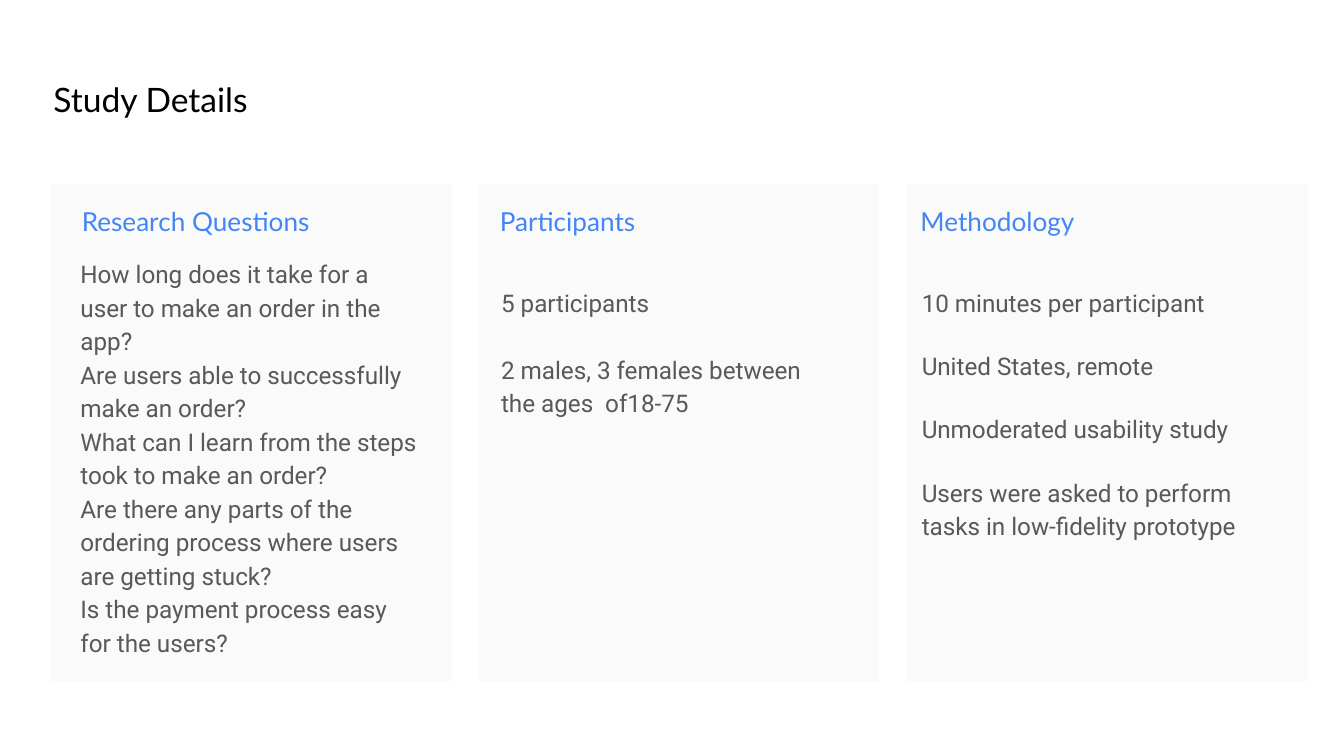
from dataclasses import dataclass

from pptx import Presentation
from pptx.dml.color import RGBColor
from pptx.enum.shapes import MSO_SHAPE
from pptx.enum.text import MSO_ANCHOR
from pptx.util import Inches, Pt

RECTANGLE = MSO_SHAPE.RECTANGLE
TOP = MSO_ANCHOR.TOP


@dataclass(frozen=True)
class Theme:
    card: RGBColor = RGBColor(0xFA, 0xFA, 0xFA)
    title: RGBColor = RGBColor(0x00, 0x00, 0x00)
    heading: RGBColor = RGBColor(0x42, 0x85, 0xF4)
    body: RGBColor = RGBColor(0x59, 0x59, 0x59)
    heading_font: str = "Lato"
    body_font: str = "Roboto"
    title_size: int = 18
    heading_size: int = 14
    body_size: int = 13


@dataclass(frozen=True)
class Column:
    heading: str
    paragraphs: tuple
    card_left: float
    heading_left: float
    body_left: float
    body_top: float = 2.01
    body_height: float = 2.42
    gap: int = 0  # points between paragraphs


THEME = Theme()

# Slide and card sizes, in inches
SLIDE_WIDTH = 10
SLIDE_HEIGHT = SLIDE_WIDTH * 9 / 16
CARD_TOP, CARD_WIDTH, CARD_HEIGHT = 1.37, 2.98, 3.7
TEXT_WIDTH = 2.71

COLUMNS = (
    Column(
        "Research Questions",
        (
            "How long does it take for a user to make an order in the app?",
            "Are users able to successfully make an order?",
            "What can I learn from the steps took to make an order?",
            "Are there any parts of the ordering process where users are getting stuck?",
            "Is the payment process easy for the users?",
        ),
        card_left=0.38, heading_left=0.51, body_left=0.5, body_top=1.8, body_height=3.09,
    ),
    Column(
        "Participants",
        ("5 participants", "2 males, 3 females between the ages  of18-75"),
        card_left=3.56, heading_left=3.62, body_left=3.63, gap=18,
    ),
    Column(
        "Methodology",
        (
            "10 minutes per participant",
            "United States, remote",
            "Unmoderated usability study",
            "Users were asked to perform tasks in low-fidelity prototype",
        ),
        card_left=6.75, heading_left=6.75, body_left=6.76, gap=16,
    ),
)


def add_text(slide, paragraphs, left, top, width, height, *,
             font, size, color, line_spacing=1.0, gap=0):
    """Add a text box with one paragraph for each string."""
    frame = slide.shapes.add_textbox(
        Inches(left), Inches(top), Inches(width), Inches(height)).text_frame
    frame.word_wrap = True
    frame.vertical_anchor = TOP
    frame.margin_left = frame.margin_right = Inches(0.1)
    frame.margin_top = frame.margin_bottom = Inches(0.1)
    for index, text in enumerate(paragraphs):
        paragraph = frame.add_paragraph() if index else frame.paragraphs[0]
        paragraph.line_spacing = line_spacing
        paragraph.space_before = Pt(gap if index else 0)
        run = paragraph.add_run()
        run.text = text
        run.font.name = font
        run.font.size = Pt(size)
        run.font.color.rgb = color


def add_card(slide, left):
    card = slide.shapes.add_shape(
        RECTANGLE, Inches(left), Inches(CARD_TOP), Inches(CARD_WIDTH), Inches(CARD_HEIGHT))
    card.shadow.inherit = False
    card.fill.solid()
    card.fill.fore_color.rgb = THEME.card
    card.line.fill.background()


def add_column(slide, column):
    add_card(slide, column.card_left)
    add_text(slide, [column.heading], column.heading_left, 1.43, TEXT_WIDTH, 0.31,
             font=THEME.heading_font, size=THEME.heading_size, color=THEME.heading)
    add_text(slide, column.paragraphs, column.body_left, column.body_top,
             TEXT_WIDTH, column.body_height, font=THEME.body_font,
             size=THEME.body_size, color=THEME.body, line_spacing=1.15, gap=column.gap)


def main():
    presentation = Presentation()
    presentation.slide_width = Inches(SLIDE_WIDTH)
    presentation.slide_height = Inches(SLIDE_HEIGHT)
    slide = presentation.slides.add_slide(presentation.slide_layouts[6])

    # Three cards with their headings and text
    for column in COLUMNS:
        add_column(slide, column)

    # Title
    add_text(slide, ["Study Details"], 0.3, 0.44, 1.93, 0.83, font=THEME.heading_font,
             size=THEME.title_size, color=THEME.title, line_spacing=1.15)

    presentation.save("out.pptx")


if __name__ == "__main__":
    main()
